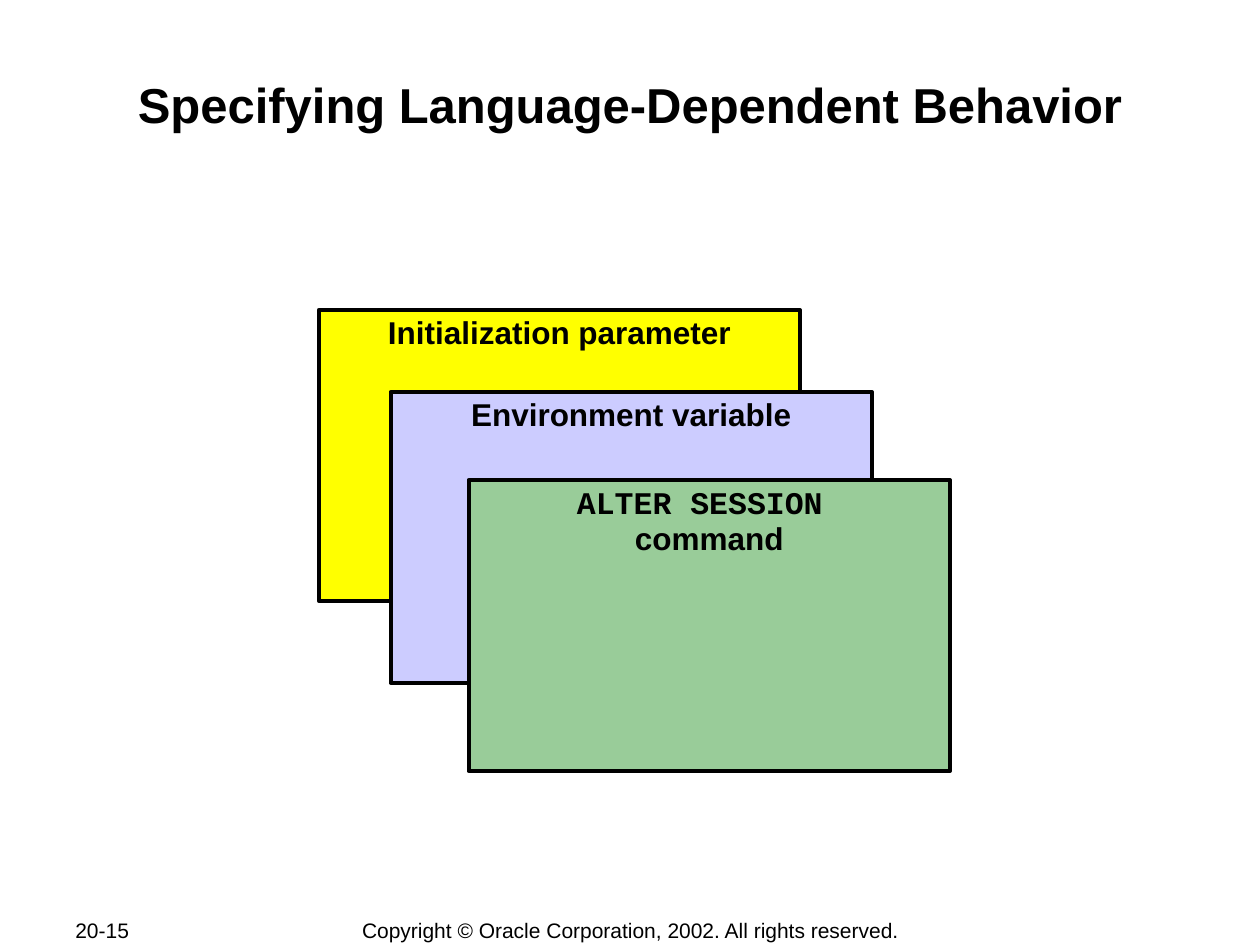
from pptx import Presentation
from pptx.dml.color import RGBColor
from pptx.enum.shapes import MSO_SHAPE
from pptx.enum.text import MSO_ANCHOR, MSO_AUTO_SIZE, PP_ALIGN as Align
from pptx.util import Pt

COLORS = {
    "black": "000000",
    "white": "FFFFFF",
    "yellow": "FFFF00",
    "lavender": "CCCCFF",
    "green": "99CC99",
}
SANS, MONO = "Arial", "Courier New"

TITLE = "Specifying Language-Dependent Behavior"
TITLE_BOX = (72, 41.76, 576, 69.12)

# Left, top, fill and lines of (text, font)
CARD_SIZE = (275, 166.3)
CARDS = [
    (182.2, 177.1, "yellow", [("Initialization parameter", SANS)]),
    (223.2, 223.9, "lavender", [("Environment variable", SANS)]),
    (267.8, 274.3, "green", [("ALTER SESSION ", MONO), ("command", SANS)]),
]

# Text, box and alignment
FOOTERS = [
    ("20-15", (36, 524.2, 76.3, 14.4), Align.LEFT),
    ("Copyright © Oracle Corporation, 2002. All rights reserved.",
     (198.7, 524.2, 323.3, 15.1), Align.CENTER),
]


def color(name):
    return RGBColor.from_string(COLORS[name])


def points(values):
    return [Pt(value) for value in values]


def set_frame(frame, anchor, margins, wrap):
    frame.auto_size = MSO_AUTO_SIZE.NONE
    frame.vertical_anchor = anchor
    frame.word_wrap = wrap
    frame.margin_left = frame.margin_right = Pt(margins[0])
    frame.margin_top = frame.margin_bottom = Pt(margins[1])


def add_run(paragraph, text, size, font=SANS, bold=False):
    run = paragraph.add_run()
    run.text = text
    run.font.name = font
    run.font.size = Pt(size)
    run.font.bold = bold
    run.font.color.rgb = color("black")


def add_title(slide):
    title = slide.shapes.title
    title.left, title.top, title.width, title.height = points(TITLE_BOX)
    set_frame(title.text_frame, MSO_ANCHOR.TOP, (0.72, 0.72), True)
    paragraph = title.text_frame.paragraphs[0]
    paragraph.alignment = Align.CENTER
    paragraph.space_before = Pt(0)
    add_run(paragraph, TITLE, 28, bold=True)


def add_card(slide, left, top, fill, lines):
    card = slide.shapes.add_shape(
        MSO_SHAPE.RECTANGLE, *points((left, top, *CARD_SIZE)))
    card.shadow.inherit = False
    card.fill.solid()
    card.fill.fore_color.rgb = color(fill)
    card.line.color.rgb = color("black")
    card.line.width = Pt(2.25)
    set_frame(card.text_frame, MSO_ANCHOR.TOP, (3.6, 3.6), False)
    paragraph = card.text_frame.paragraphs[0]
    paragraph.alignment = Align.CENTER
    paragraph.line_spacing = 0.95
    for index, (text, font) in enumerate(lines):
        if index:
            paragraph.add_line_break()
        add_run(paragraph, text, 18, font, bold=True)


def add_footer(slide, text, box, alignment):
    footer = slide.shapes.add_textbox(*points(box))
    set_frame(footer.text_frame, MSO_ANCHOR.MIDDLE, (7.2, 3.6), False)
    paragraph = footer.text_frame.paragraphs[0]
    paragraph.alignment = alignment
    add_run(paragraph, text, 12)


def main():
    presentation = Presentation()
    presentation.slide_width, presentation.slide_height = Pt(720), Pt(540)
    slide = presentation.slides.add_slide(presentation.slide_layouts[5])
    slide.background.fill.solid()
    slide.background.fill.fore_color.rgb = color("white")
    add_title(slide)
    for footer in FOOTERS:
        add_footer(slide, *footer)
    for card in CARDS:
        add_card(slide, *card)
    presentation.save("out.pptx")


if __name__ == "__main__":
    main()
